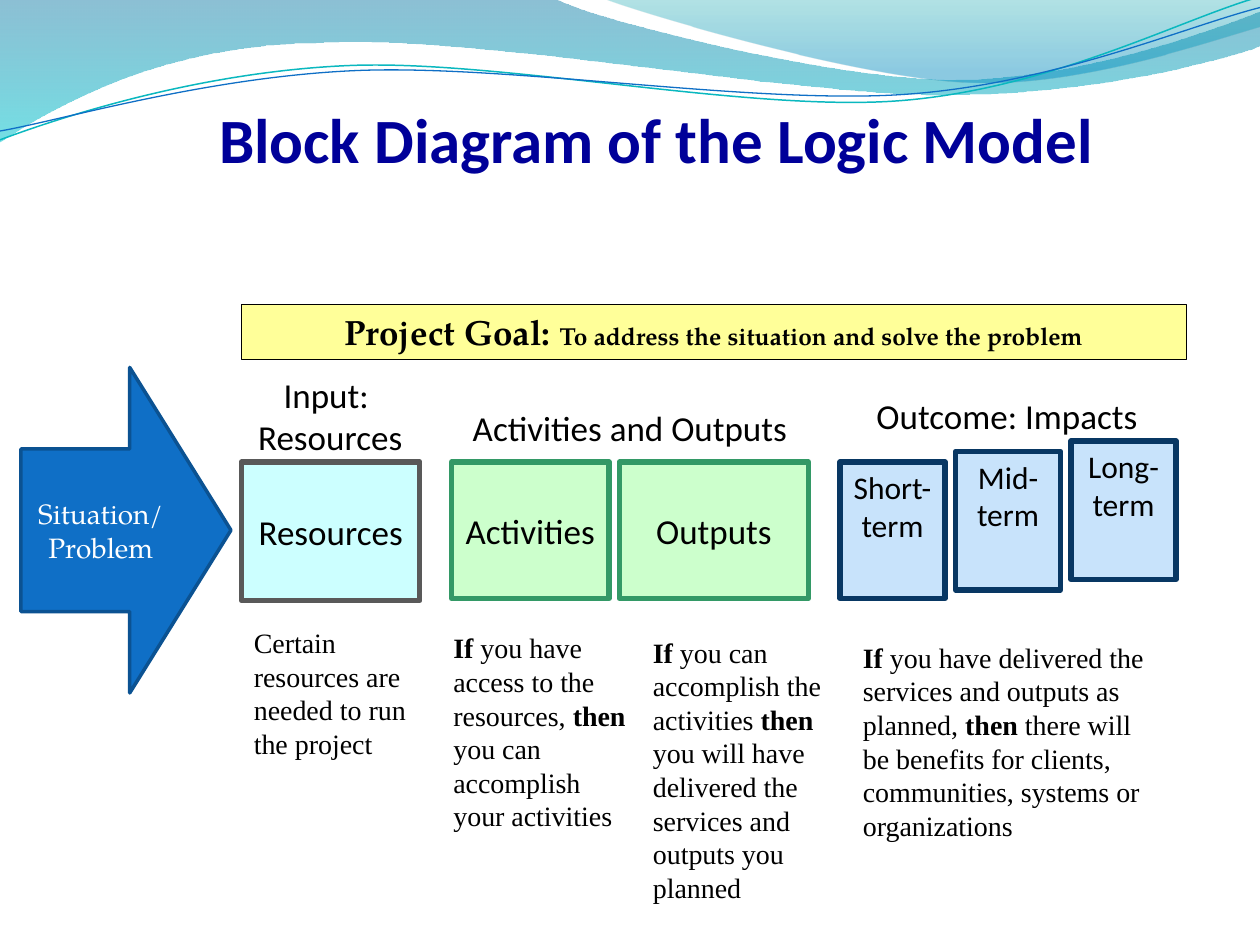
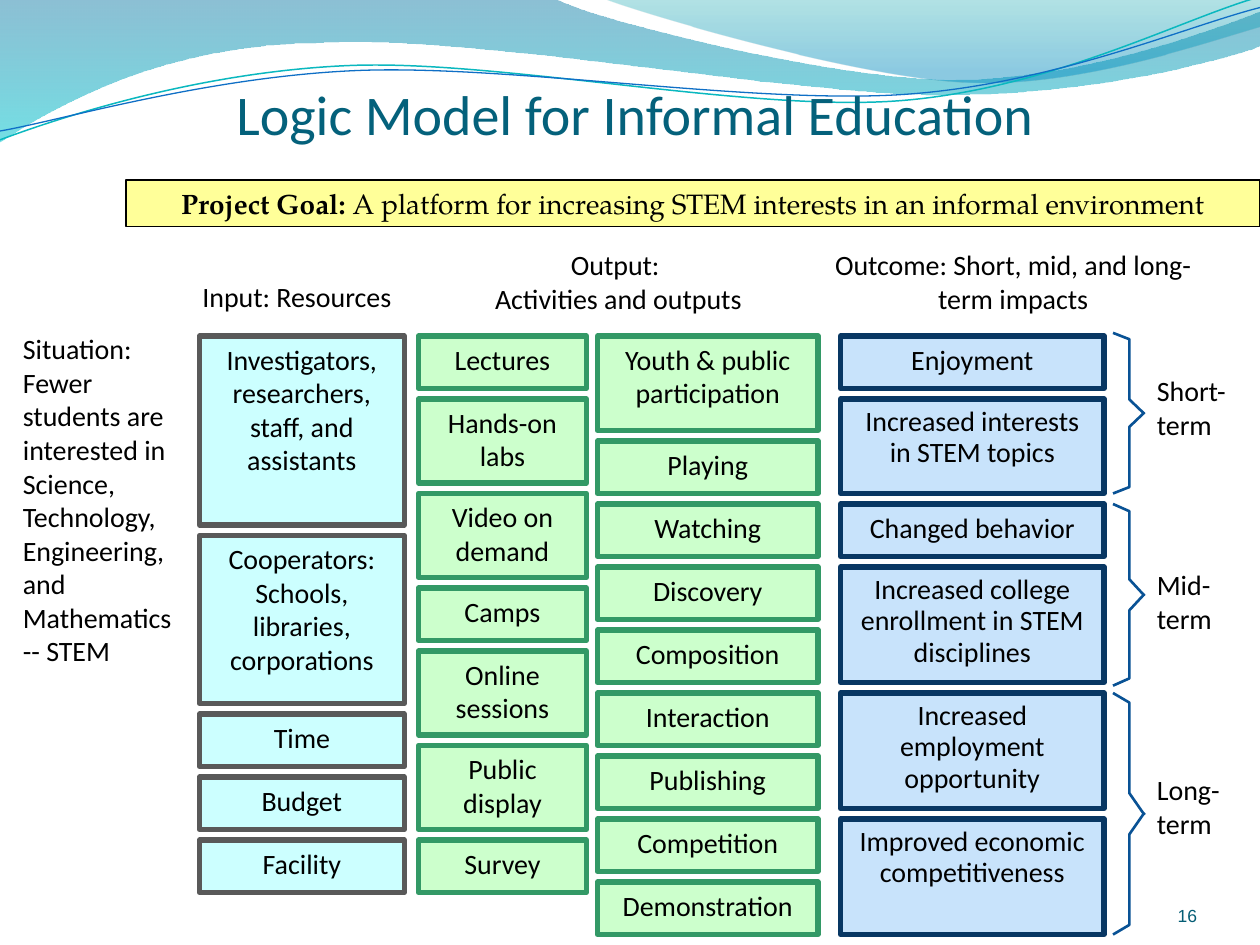
from math import cos, radians, sin

from pptx import Presentation
from pptx.dml.color import RGBColor
from pptx.enum.shapes import MSO_SHAPE
from pptx.enum.text import MSO_ANCHOR, PP_ALIGN
from pptx.oxml.ns import qn
from pptx.oxml.xmlchemy import OxmlElement
from pptx.util import Inches, Pt

# Grid: 120 columns by 90 rows of square cells
SLIDE_W, SLIDE_H = Inches(10), Inches(7.5)
CELL = SLIDE_W // 120
TENTH = SLIDE_W // 10

COLORS = {
    "black": "000000", "white": "FFFFFF", "navy": "000099", "teal": "04617B",
    "number": "045D75", "arrow": "0F6FC6", "arrow_edge": "0B5292",
    "goal": "FFFF99", "brace": "095295",
    "input": "CCFFFF", "input_edge": "595959",
    "output": "CCFFCC", "output_edge": "339966",
    "outcome": "C8E3FB", "outcome_edge": "083763",
    "wave_blue": "0074A1", "wave_cyan": "00C6CF",
    "crest_green": "00A1A9", "crest_blue": "008BBF",
    "thread_cyan": "0AB8BF", "thread_blue": "0F6FC6",
}
SANS, SERIF, BOOK = "Calibri", "Times New Roman", "TeX Gyre Pagella"
CENTER, LEFT = PP_ALIGN.CENTER, PP_ALIGN.LEFT
DEFAULT_INSETS = (0.1, 0.05, 0.1, 0.05)

# Wave outlines in tenths of the slide width: points, or curves as three points
BAND = [(0, -0.01), (4.4, -0.01), (4.76, 0.17, 6.64, 0.63, 7.58, 0.63),
        (8.53, 0.63, 9.58, 0.26, 10, 0.09), (10.01, 0.36),
        (9.83, 0.44, 8.7, 0.76, 7.46, 0.75), (6.22, 0.75, 3.82, 0.28, 2.57, 0.34),
        (1.29, 0.35, 0.46, 0.83, -0.01, 1.13), (0, -0.01)]
CREST = [(4.79, -0.01), (5.09, 0.11, 6.82, 0.62, 7.69, 0.65),
         (8.56, 0.69, 9.61, 0.32, 10, 0.21), (10, 0), (4.79, -0.01)]
THREADS = [
    ("thread_cyan", 0.85, [(0, 1.11), (0.48, 0.93, 1.58, 0.57, 2.77, 0.52),
                           (3.95, 0.47, 5.93, 0.89, 7.13, 0.8),
                           (8.33, 0.71, 9.38, 0.15, 9.98, -0.02)]),
    ("thread_blue", 0.75, [(0, 1.04), (0.47, 0.96, 1.64, 0.61, 2.83, 0.56),
                           (4.03, 0.51, 5.97, 0.83, 7.17, 0.75),
                           (8.36, 0.67, 9.41, 0.21, 10, 0.06)]),
]
THREAD_TILT, THREAD_PIVOT = 2.7, (4.99, 0.58)


def rgb(name):
    return RGBColor.from_string(COLORS[name])


def cells(box):
    return [round(length * CELL) for length in box]


# --- Text ---
def add_run(paragraph, text, size, font, color, bold=False):
    run = paragraph.add_run()
    run.text = text
    run.font.size, run.font.name, run.font.bold = Pt(size), font, bold
    run.font.color.rgb = rgb(color)


def write(shape, lines, size, font=SANS, color="black", align=LEFT,
          anchor=MSO_ANCHOR.TOP, wrap=True, spacing=None, insets=DEFAULT_INSETS):
    """Fill a shape, one paragraph a line; *stars* mark bold parts."""
    frame = shape.text_frame
    frame.word_wrap, frame.vertical_anchor = wrap, anchor
    (frame.margin_left, frame.margin_top,
     frame.margin_right, frame.margin_bottom) = map(Inches, insets)
    for index, line in enumerate(lines):
        paragraph = frame.add_paragraph() if index else frame.paragraphs[0]
        paragraph.alignment = align
        if spacing:
            paragraph.line_spacing = Pt(spacing)
        for part, text in enumerate(line.split("*")):
            if text:
                add_run(paragraph, text, size, font, color, bold=part % 2 == 1)


def label(slide, box, lines, size, **style):
    write(slide.shapes.add_textbox(*cells(box)), lines, size, **style)


# --- Shapes ---
def block(slide, box, fill, edge, width=3, kind=MSO_SHAPE.RECTANGLE):
    shape = slide.shapes.add_shape(kind, *cells(box))
    shape.shadow.inherit = False
    shape.fill.solid()
    shape.fill.fore_color.rgb = rgb(fill)
    shape.line.color.rgb = rgb(edge)
    shape.line.width = Pt(width)
    return shape


def outline(slide, path, unit, close=False):
    """Freeform through points; segments of six numbers become curves."""
    points = [(round(x * unit), round(y * unit)) for segment in path
              for x, y in zip(segment[::2], segment[1::2])]
    builder = slide.shapes.build_freeform(*points[0], scale=1.0)
    builder.add_line_segments(points[1:], close=close)
    shape = builder.convert_to_shape()
    shape.shadow.inherit = False
    steps = iter(list(shape.element.iter(qn("a:lnTo"))))
    for segment in path[1:]:
        first = next(steps)
        if len(segment) == 6:
            curve = OxmlElement("a:cubicBezTo")
            first.addprevious(curve)
            for step in (first, next(steps), next(steps)):
                curve.append(step[0])
                step.getparent().remove(step)
    return shape


def stroke(slide, path, unit, color, width):
    shape = outline(slide, path, unit)
    shape.fill.background()
    shape.line.color.rgb = rgb(color)
    shape.line.width = Pt(width)
    return shape


# --- Wave header shared by both slides ---
def turn(segment, degrees, pivot):
    c, s = cos(radians(degrees)), sin(radians(degrees))
    turned = []
    for x, y in zip(segment[::2], segment[1::2]):
        dx, dy = x - pivot[0], y - pivot[1]
        turned += [pivot[0] + dx * c - dy * s, pivot[1] + dx * s + dy * c]
    return turned


def gradient_wave(slide, path, stops):
    shape = outline(slide, path, TENTH, close=True)
    shape.line.fill.background()
    shape.fill.gradient()
    shape.fill.gradient_angle = 270
    for stop, (position, color, _) in zip(shape.fill.gradient_stops, stops):
        stop.position = position
        stop.color.rgb = rgb(color)
    for tint, (_, _, opacity) in zip(shape.element.iter(qn("a:srgbClr")), stops):
        alpha = OxmlElement("a:alpha")
        alpha.set("val", str(opacity * 1000))
        tint.append(alpha)


def wave_header(slide):
    gradient_wave(slide, BAND, [(0, "wave_blue", 45), (1, "wave_cyan", 55)])
    gradient_wave(slide, CREST, [(0, "crest_green", 30), (0.8, "crest_blue", 45)])
    for color, width, path in THREADS:
        level = [turn(segment, THREAD_TILT, THREAD_PIVOT) for segment in path]
        stroke(slide, level, TENTH, color, width).rotation = -THREAD_TILT


def goal_bar(slide, box, goal, size, goal_size, bold):
    bar = block(slide, box, "goal", "black", 0.75)
    write(bar, ["*Project Goal: *"], size, BOOK, align=CENTER)
    add_run(bar.text_frame.paragraphs[0], goal, goal_size, BOOK, "black", bold)


# --- Slide 1: block diagram ---
def stage(slide, origin, look, steps, note, note_box, step_size=20,
          anchor=MSO_ANCHOR.MIDDLE):
    """Step boxes and the note under them, placed from the stage's corner."""
    left, top = origin
    for name, (x, y, w, h) in steps:
        step = block(slide, (left + x, top + y, w, h), look, look + "_edge")
        write(step, [name], step_size, align=CENTER, anchor=anchor)
    x, y, w, h = note_box
    label(slide, (left + x, top + y, w, h), [note], 16, font=SERIF)


def block_diagram(slide):
    wave_header(slide)
    label(slide, (13, 9, 99, 8.5), ["*Block Diagram of the Logic Model*"], 36,
          color="navy", align=CENTER)

    # Situation arrow
    situation = block(slide, (2, 35, 20, 31), "arrow", "arrow_edge", 2,
                      MSO_SHAPE.RIGHT_ARROW)
    situation.adjustments[0], situation.adjustments[1] = 0.5, 0.482
    write(situation, ["Situation/", "Problem"], 16, BOOK, "white", CENTER,
          MSO_ANCHOR.MIDDLE)

    # Stage headings
    label(slide, (23.3, 35, 16.3, 9.2), ["Input: ", "Resources"], 20,
          align=CENTER, wrap=False)
    label(slide, (42, 38.1, 36, 5.3), ["Activities and Outputs"], 20, align=CENTER)
    label(slide, (82.3, 37, 27.6, 5.3), ["Outcome: Impacts"], 20, wrap=False)

    # Stages
    stage(slide, (23, 44), "input", [("Resources", (0, 0, 17, 13.2))],
          "Certain resources are needed to run the project", (0, 15, 17, 17.4))
    stage(slide, (43, 44), "output", [("Activities", (0, 0, 15, 13))],
          "*If* you have access to the resources, *then* you can accomplish "
          "your activities", (-1, 15.5, 19, 20.6))
    stage(slide, (59, 44), "output", [("Outputs", (0, 0, 18, 13))],
          "*If* you can accomplish the activities *then* you will have delivered "
          "the services and outputs you planned", (2, 15.9, 19, 30))
    terms = [("Short- term", (0, 0, 10, 13)), ("Mid-term", (11, -1, 10, 13.2)),
             ("Long-term", (22, -2, 10, 13.2))]
    stage(slide, (80, 44), "outcome", terms,
          "*If* you have delivered the services and outputs as planned, *then* "
          "there will be benefits for clients, communities, systems or organizations",
          (1, 16.4, 31, 24), 18, MSO_ANCHOR.TOP)

    goal_bar(slide, (23, 29, 90, 5.25),
             "To address the situation and solve the problem", 20, 14, bold=True)


# --- Slide 2: informal education ---
def stack(slide, box, look, items, tight=False):
    """Boxes one below another, one cell apart; each item is (text, rows)."""
    left, top, width = box
    for text, rows in items:
        item = block(slide, (left, top, width, rows), look, look + "_edge")
        spacing = 18 if tight and rows > 5 else None
        write(item, [text], 16, align=CENTER, spacing=spacing)
        top += rows + 1


def brace(slide, box, term, term_top):
    """Right brace of two mirrored halves, with its term beside the tip."""
    left, top, width, height = box
    spine, middle = left + width * 0.52, top + height / 2
    for side in (-1, 1):
        half = [(left, 0.5), (spine, 0.46), (spine, 0.085), (left + width, -0.005)]
        stroke(slide, [(x, middle + side * share * height) for x, share in half],
               CELL, "brace", 1.5)
    label(slide, (left + width, term_top, 11, 7.7), [term], 16)


def informal_education(slide):
    wave_header(slide)
    label(slide, (12, 1, 97, 13), ["Logic Model for Informal Education"], 32,
          color="teal", align=CENTER, anchor=MSO_ANCHOR.BOTTOM, insets=(0, 0.05, 0, 0))
    label(slide, (104, 83.4, 10, 4.8), ["16"], 10, font="Arial", color="number",
          align=PP_ALIGN.RIGHT, anchor=MSO_ANCHOR.BOTTOM, insets=(0, 0, 0, 0))
    label(slide, (1, 31, 18, 33.5),
          ["Situation: Fewer students are interested in Science, Technology, "
           "Engineering, and Mathematics", "-- STEM"], 16)

    # Column headings
    label(slide, (18.1, 26, 20.6, 4.4), ["Input: Resources"], 16, wrap=False)
    label(slide, (37.9, 23, 42, 7.7), ["Output: ", "Activities and outputs"], 16,
          align=CENTER)
    label(slide, (78, 23, 37, 7.7), ["Outcome: Short, mid, and long-term impacts"],
          16, align=CENTER)

    # Columns
    stack(slide, (19, 32, 19.5), "input", [
        ("Investigators, researchers, staff, and assistants", 18),
        ("Cooperators: Schools, libraries, corporations", 16),
        ("Time", 5), ("Budget", 5), ("Facility", 5)])
    stack(slide, (39.85, 32, 16), "output", [
        ("Lectures", 5), ("Hands-on labs", 8), ("Video on demand", 8), ("Camps", 5),
        ("Online sessions", 8), ("Public display", 8), ("Survey", 5)])
    single = ["Playing", "Watching", "Discovery", "Composition", "Interaction",
              "Publishing", "Competition", "Demonstration"]
    stack(slide, (56.9, 32, 21), "output",
          [("Youth & public participation", 9)] + [(name, 5) for name in single])
    stack(slide, (80.05, 32, 25.1), "outcome", [
        ("Enjoyment", 5), ("Increased interests in STEM topics", 9),
        ("Changed behavior", 5),
        ("Increased college enrollment in STEM disciplines", 11),
        ("Increased employment opportunity", 11),
        ("Improved economic competitiveness", 11)], tight=True)

    # Terms
    for term, top, rows, term_top in [("Short-term", 31.7, 15.3, 35),
                                      ("Mid-term", 48, 17.3, 53.5),
                                      ("Long-term", 66, 23, 73)]:
        brace(slide, (106, top, 3, rows), term, term_top)

    goal_bar(slide, (12, 17.15, 108, 4.4),
             "A platform for increasing STEM interests in an informal environment",
             16, 16, bold=False)


def main():
    deck = Presentation()
    deck.slide_width, deck.slide_height = SLIDE_W, SLIDE_H
    for build in (block_diagram, informal_education):
        build(deck.slides.add_slide(deck.slide_layouts[6]))
    deck.save("out.pptx")


if __name__ == "__main__":
    main()
